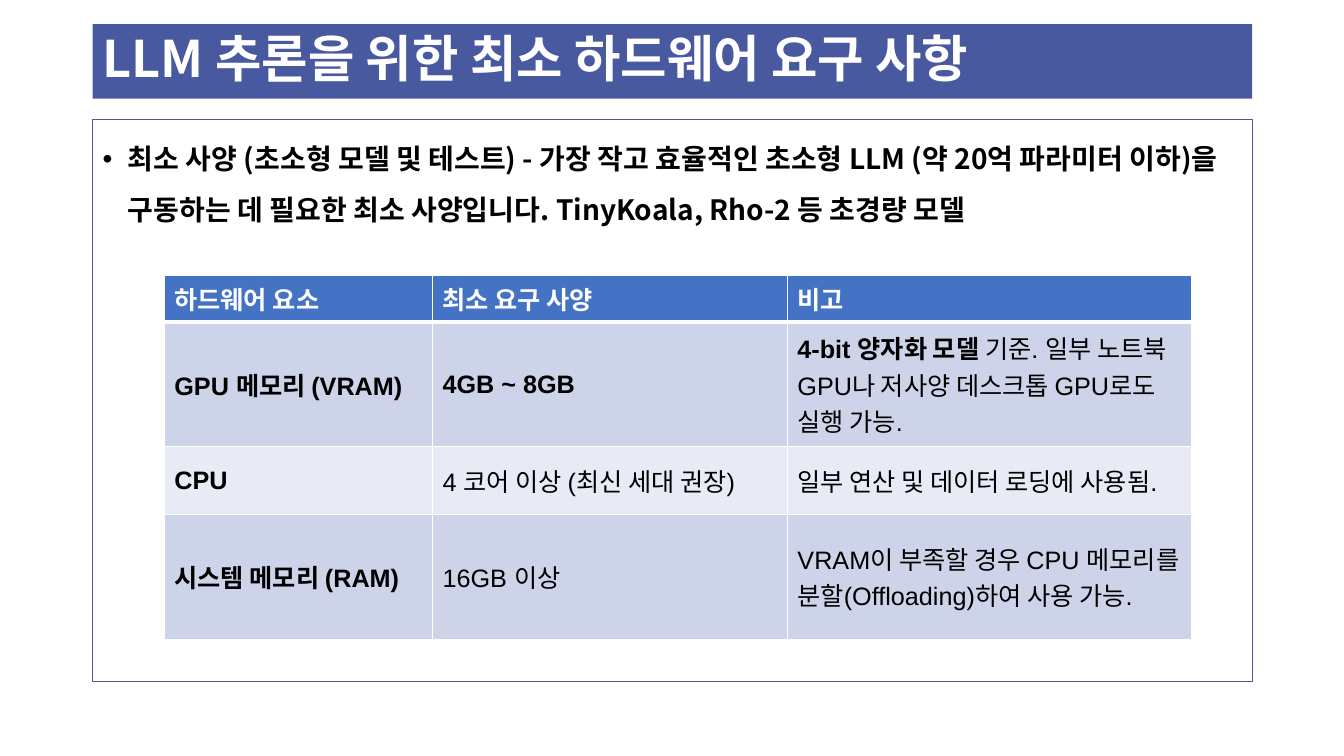
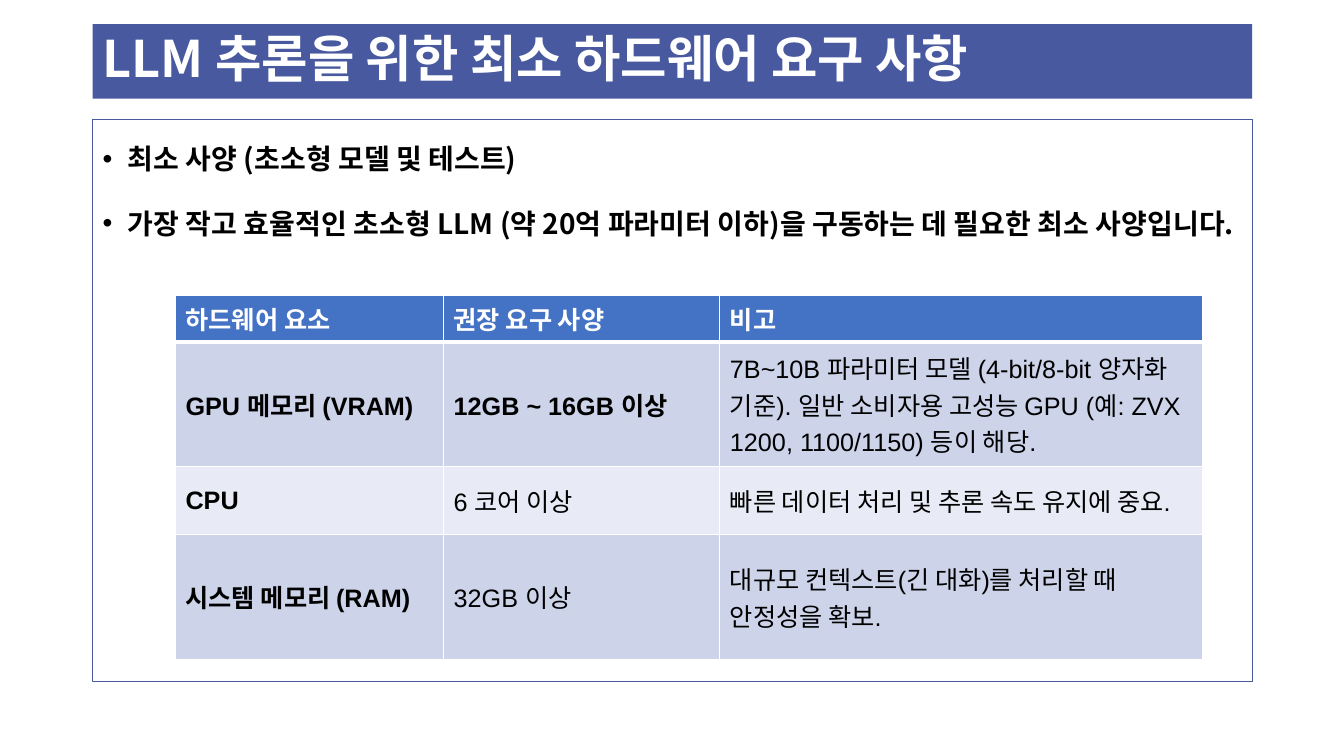
from lxml import etree
from pptx import Presentation
from pptx.dml.color import RGBColor
from pptx.enum.shapes import MSO_SHAPE
from pptx.enum.text import MSO_ANCHOR, PP_ALIGN
from pptx.oxml.ns import qn
from pptx.util import Inches, Pt

RECTANGLE = MSO_SHAPE.RECTANGLE
MIDDLE, TOP = MSO_ANCHOR.MIDDLE, MSO_ANCHOR.TOP
LEFT = PP_ALIGN.LEFT

INDIGO = RGBColor(0x48, 0x59, 0x9F)
HEADER_BLUE = RGBColor(0x44, 0x72, 0xC4)
BAND_DARK = RGBColor(0xCD, 0xD4, 0xEA)
BAND_LIGHT = RGBColor(0xE8, 0xEB, 0xF5)
WHITE = RGBColor(0xFF, 0xFF, 0xFF)
BLACK = RGBColor(0, 0, 0)

KOREAN_FONT = "Noto Sans CJK KR"
TABLE_FONT = "Arial"
FRAME_LEFT, FRAME_WIDTH = 0.92, 11.5
ROW_HEIGHTS = (0.39, 1.24, 0.67, 1.24)

TITLE = "LLM 추론을 위한 최소 하드웨어 요구 사항"
COMPONENTS = ("GPU 메모리 (VRAM)", "CPU", "시스템 메모리 (RAM)")

SLIDES = [
    {
        "bullets": [
            "최소 사양 (초소형 모델 및 테스트) - 가장 작고 효율적인 초소형 LLM (약 20억 파라미터 이하)을 "
            "구동하는 데 필요한 최소 사양입니다. TinyKoala, Rho-2 등 초경량 모델",
        ],
        "origin": (1.63, 2.73),
        "columns": (2.66, 3.52, 4.01),
        "requirement": "최소 요구 사양",
        "specs": ("4GB ~ 8GB", "4 코어 이상 (최신 세대 권장)", "16GB 이상"),
        "remarks": (
            [("4-bit 양자화 모델", True),
             (" 기준. 일부 노트북 GPU나 저사양 데스크톱 GPU로도 실행 가능.", False)],
            [("일부 연산 및 데이터 로딩에 사용됨.", False)],
            [("VRAM이 부족할 경우 CPU 메모리를 분할(Offloading)하여 사용 가능.", False)],
        ),
    },
    {
        "bullets": [
            "최소 사양 (초소형 모델 및 테스트)",
            "가장 작고 효율적인 초소형 LLM (약 20억 파라미터 이하)을 구동하는 데 필요한 최소 사양입니다.",
        ],
        "origin": (1.74, 2.93),
        "columns": (2.66, 2.74, 4.79),
        "requirement": "권장 요구 사양",
        "specs": ("12GB ~ 16GB 이상", "6 코어 이상", "32GB 이상"),
        "remarks": (
            [("7B~10B 파라미터 모델 (4-bit/8-bit 양자화 기준). 일반 소비자용 고성능 GPU "
              "(예: ZVX 1200, 1100/1150) 등이 해당.", False)],
            [("빠른 데이터 처리 및 추론 속도 유지에 중요.", False)],
            [("대규모 컨텍스트(긴 대화)를 처리할 때 안정성을 확보.", False)],
        ),
    },
]


def add_run(paragraph, text, size, color, bold=True, font=KOREAN_FONT):
    """Append one run with matching Latin and Korean typefaces."""
    run = paragraph.add_run()
    run.text = text
    run.font.size = Pt(size)
    run.font.bold = bold
    run.font.name = font
    run.font.color.rgb = color
    korean = etree.SubElement(run.font._element, qn("a:ea"))
    korean.set("typeface", KOREAN_FONT)


def add_panel(slide, top, height, anchor):
    """Add a full-width rectangle and return it without shadow or fill."""
    panel = slide.shapes.add_shape(
        RECTANGLE, Inches(FRAME_LEFT), Inches(top), Inches(FRAME_WIDTH), Inches(height))
    panel.shadow.inherit = False
    panel.fill.background()
    panel.text_frame.word_wrap = True
    panel.text_frame.vertical_anchor = anchor
    return panel


def add_title_band(slide):
    """Add the shared title band."""
    band = add_panel(slide, 0.24, 0.74, MIDDLE)
    band.fill.solid()
    band.fill.fore_color.rgb = INDIGO
    band.line.fill.background()
    heading = band.text_frame.paragraphs[0]
    heading.alignment = LEFT
    heading.line_spacing = 0.9
    add_run(heading, TITLE, 36, WHITE)


def add_bullet_frame(slide, bullets):
    """Add the outlined content frame with its bullets."""
    frame = add_panel(slide, 1.19, 5.57, TOP)
    frame.line.color.rgb = INDIGO
    frame.line.width = Pt(0.75)
    for index, bullet in enumerate(bullets):
        if index == 0:
            paragraph = frame.text_frame.paragraphs[0]
        else:
            paragraph = frame.text_frame.add_paragraph()
            paragraph.space_before = Pt(10)
        paragraph.alignment = LEFT
        paragraph.line_spacing = 1.5
        add_run(paragraph, bullet, 20, BLACK)
        properties = paragraph._p.get_or_add_pPr()
        properties.set("marL", str(Inches(0.25)))
        properties.set("indent", str(-Inches(0.25)))
        bullet_color = etree.SubElement(properties, qn("a:buClr"))
        etree.SubElement(bullet_color, qn("a:srgbClr")).set("val", str(BLACK))
        etree.SubElement(properties, qn("a:buFont")).set("typeface", TABLE_FONT)
        etree.SubElement(properties, qn("a:buChar")).set("char", "•")


def set_borders(cell, top, bottom):
    """Draw white cell borders with the given top and bottom widths in points."""
    properties = cell._tc.get_or_add_tcPr()
    widths = {"a:lnL": 1, "a:lnR": 1, "a:lnT": top, "a:lnB": bottom}
    for position, (side, width) in enumerate(widths.items()):
        border = etree.Element(qn(side))
        border.set("w", str(Pt(width)))
        fill = etree.SubElement(border, qn("a:solidFill"))
        etree.SubElement(fill, qn("a:srgbClr")).set("val", str(WHITE))
        properties.insert(position, border)


def fill_cell(cell, runs, row):
    """Style one cell by its row and write its runs."""
    cell.vertical_anchor = MIDDLE
    cell.fill.solid()
    if row == 0:
        cell.fill.fore_color.rgb = HEADER_BLUE
    else:
        cell.fill.fore_color.rgb = BAND_DARK if row % 2 else BAND_LIGHT
    set_borders(cell, top=3 if row == 1 else 1, bottom=3 if row == 0 else 1)
    for text, bold in runs:
        add_run(cell.text_frame.paragraphs[0], text, 18,
                BLACK if row else WHITE, bold, TABLE_FONT)


def add_requirements_table(slide, content):
    """Add the hardware requirements table."""
    left, top = content["origin"]
    columns = content["columns"]
    requirements = slide.shapes.add_table(
        len(ROW_HEIGHTS), len(columns), Inches(left), Inches(top),
        Inches(sum(columns)), Inches(sum(ROW_HEIGHTS))).table
    requirements.horz_banding = False
    for column, width in zip(requirements.columns, columns):
        column.width = Inches(width)
    for row, height in zip(requirements.rows, ROW_HEIGHTS):
        row.height = Inches(height)

    headings = ("하드웨어 요소", content["requirement"], "비고")
    lines = [[[(heading, True)] for heading in headings]]
    for component, spec, remark in zip(COMPONENTS, content["specs"], content["remarks"]):
        lines.append([[(component, True)], [(spec, component == COMPONENTS[0])], remark])
    for row, line in enumerate(lines):
        for column, runs in enumerate(line):
            fill_cell(requirements.cell(row, column), runs, row)


def main():
    """Build and save the presentation."""
    presentation = Presentation()
    presentation.slide_width = Inches(13.33)
    presentation.slide_height = Inches(7.5)
    blank = presentation.slide_layouts[6]
    for content in SLIDES:
        slide = presentation.slides.add_slide(blank)
        add_title_band(slide)
        add_bullet_frame(slide, content["bullets"])
        add_requirements_table(slide, content)
    presentation.save("out.pptx")


if __name__ == "__main__":
    main()
